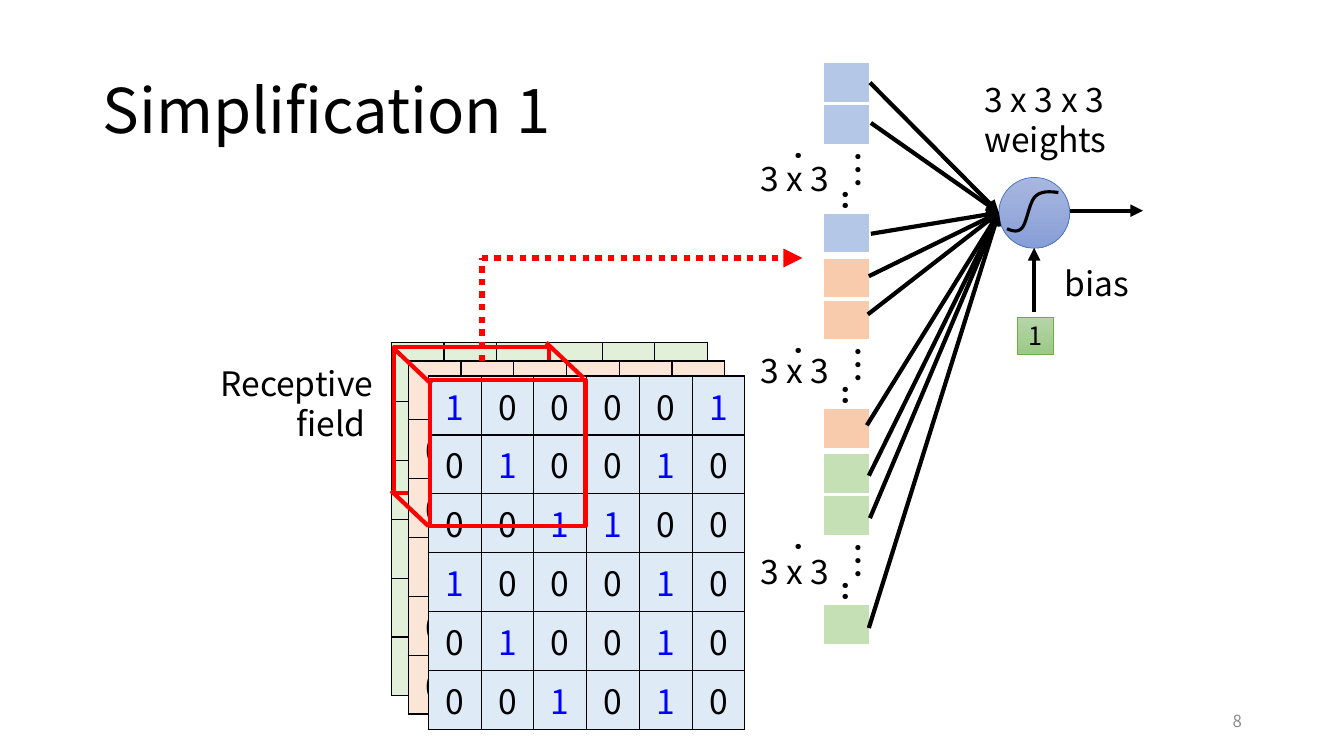
"""Builds a slide on how a receptive field feeds one neuron."""
from dataclasses import dataclass

from lxml import etree
from pptx import Presentation
from pptx.dml.color import RGBColor
from pptx.enum.dml import MSO_LINE
from pptx.enum.shapes import MSO_CONNECTOR, MSO_SHAPE
from pptx.enum.text import MSO_ANCHOR, MSO_AUTO_SIZE, PP_ALIGN
from pptx.oxml.ns import qn
from pptx.util import Pt

LEFT, CENTER, RIGHT = PP_ALIGN.LEFT, PP_ALIGN.CENTER, PP_ALIGN.RIGHT
TOP, MIDDLE = MSO_ANCHOR.TOP, MSO_ANCHOR.MIDDLE
GROW, FIXED = MSO_AUTO_SIZE.SHAPE_TO_FIT_TEXT, MSO_AUTO_SIZE.NONE
RECTANGLE, OVAL = MSO_SHAPE.RECTANGLE, MSO_SHAPE.OVAL
STRAIGHT, DOTTED = MSO_CONNECTOR.STRAIGHT, MSO_LINE.ROUND_DOT


@dataclass(frozen=True)
class Theme:
    font: str = "Noto Sans CJK SC"
    ink: str = "000000"
    paper: str = "FFFFFF"
    one: str = "0000FF"
    accent: str = "FF0000"
    muted: str = "8C8C8C"
    maps: tuple = ("E2F0D9", "FBE5D6", "DEEBF7")
    units: tuple = ("B4C7E7", "F8CBAD", "C5E0B4")
    neuron: tuple = ("A8B7DF", "889ED7")
    neuron_edge: str = "4472C4"
    bias: tuple = ("B5D5A7", "9CC987")
    bias_edge: str = "70AD47"
    title: int = 44
    dots: int = 28
    body: int = 24
    small: int = 18
    number: int = 12


def apply(target, values):
    for name, value in values.items():
        setattr(target, name, value)


def points(*lengths):
    return [Pt(length) for length in lengths]


class Board:
    def __init__(self, slide, theme):
        self.slide, self.theme = slide, theme

    def put_text(self, frame, text, size, color=None, align=LEFT, **layout):
        apply(frame, layout)
        paragraph = frame.paragraphs[0]
        paragraph.alignment = align
        run = paragraph.add_run()
        run.text = text
        apply(run.font, {"name": self.theme.font, "size": Pt(size)})
        run.font.color.rgb = RGBColor.from_string(color or self.theme.ink)
        east_asian = etree.SubElement(run.font._element, qn("a:ea"))
        east_asian.set("typeface", self.theme.font)

    def title(self, text, box):
        heading = self.slide.shapes.title
        apply(heading, dict(zip(("left", "top", "width", "height"), points(*box))))
        self.put_text(heading.text_frame, text, self.theme.title,
                      vertical_anchor=MIDDLE, auto_size=FIXED)
        heading.text_frame.paragraphs[0].line_spacing = 0.9

    def label(self, text, box, size=None, color=None, align=LEFT, rotation=0,
              anchor=TOP, fit=GROW):
        caption = self.slide.shapes.add_textbox(*points(*box))
        caption.rotation = rotation
        self.put_text(caption.text_frame, text, size or self.theme.body, color, align,
                      word_wrap=True, vertical_anchor=anchor, auto_size=fit)

    def stroke(self, line, color, width):
        line.color.rgb = RGBColor.from_string(color)
        line.width = Pt(width)

    def shape(self, kind, box, edge, width, gradient=None):
        figure = self.slide.shapes.add_shape(kind, *points(*box))
        figure.shadow.inherit = False
        self.stroke(figure.line, edge, width)
        if gradient:
            figure.fill.gradient()
            figure.fill.gradient_angle = 270
            for stop, color in zip(figure.fill.gradient_stops, gradient):
                stop.color.rgb = RGBColor.from_string(color)
        else:
            figure.fill.background()
        return figure

    def line(self, start, end, color=None, width=3, arrow=False, dash=None):
        link = self.slide.shapes.add_connector(STRAIGHT, *points(*start, *end))
        self.stroke(link.line, color or self.theme.ink, width)
        if dash:
            link.line.dash_style = dash
        if arrow:
            etree.SubElement(link.line._ln, qn("a:tailEnd")).set("type", "triangle")
        etree.SubElement(link._element.spPr, qn("a:effectLst"))

    def curve(self, start, beziers, width):
        spots, origin = [], start
        for bezier in beziers:
            a, b, c, d = origin, *bezier
            for step in range(1, 13):
                t = step / 12
                u = 1 - t
                spots.append(tuple(
                    Pt(u**3 * p + 3*u*u*t * q + 3*u*t*t * r + t**3 * s)
                    for p, q, r, s in zip(a, b, c, d)))
            origin = d
        builder = self.slide.shapes.build_freeform(*points(*start))
        builder.add_line_segments(spots, close=False)
        outline = builder.convert_to_shape()
        outline.shadow.inherit = False
        outline.fill.background()
        self.stroke(outline.line, self.theme.ink, width)

    def border(self, cell, color, widths):
        props = cell._tc.get_or_add_tcPr()
        for side, width in zip("LRTB", widths):
            edge = etree.SubElement(props, qn(f"a:ln{side}"), w=str(Pt(width)))
            fill = etree.SubElement(edge, qn("a:solidFill"))
            etree.SubElement(fill, qn("a:srgbClr"), val=color)

    def grid(self, rows, place, cell_size, fill, edge, first_bottom=1):
        wide, high = cell_size
        columns = len(rows[0])
        table = self.slide.shapes.add_table(
            len(rows), columns, *points(*place, wide * columns, high * len(rows))).table
        apply(table, {"first_row": False, "horz_banding": False})
        for r, row in enumerate(rows):
            table.rows[r].height = Pt(high)
            for c, digit in enumerate(row):
                cell = table.cell(r, c)
                self.border(cell, edge, (1, 1, 1, 1 if r else first_bottom))
                cell.fill.solid()
                cell.fill.fore_color.rgb = RGBColor.from_string(fill)
                if digit.strip():
                    color = self.theme.one if digit == "1" else self.theme.ink
                    self.put_text(cell.text_frame, digit, self.theme.body, color, CENTER)


deck = Presentation()
apply(deck, {"slide_width": Pt(960), "slide_height": Pt(540)})
theme = Theme()
board = Board(deck.slides.add_slide(deck.slide_layouts[5]), theme)
board.title("Simplification 1", (66, 28.8, 828, 104.4))

bits = ("100001", "010010", "001100", "100010", "010010", "001010")
map_places = ((279.4, 244.8), (291.6, 257.8), (306, 268.6))
field_places = {0: (281.5, 247.7), 2: (307.4, 271.4)}
for layer, (place, tint) in enumerate(zip(map_places, theme.maps)):
    board.grid(bits, place, (37.68, 29.5), tint, theme.ink)
    if layer in field_places:
        board.shape(RECTANGLE, (*field_places[layer], 110.9, 104.4), theme.accent, 3)
for x, y in ((279.4, 350.6), (390.2, 244.8), (281.5, 249.1)):
    board.line((x, y), (x + 26.6, y + 25.2), theme.accent)
board.label("Receptive field ", (136, 255.6, 137.5, 65.5), align=RIGHT)

unit_size, stack_left, stack_pitch = (33, 29.3), 588.2, 139.7
for channel, (tint, label_top) in enumerate(zip(theme.units, (109.4, 246.2, 390.2))):
    top = 44.6 + channel * stack_pitch
    board.grid((" ", " "), (stack_left, top), unit_size, tint, theme.paper, 3)
    board.grid((" ",), (stack_left, top + 107.7), unit_size, tint, theme.paper, 3)
    board.label("…...", (584, top + 64.6, 59, 41), theme.dots, rotation=90)
    board.label("3 x 3", (533.5, label_top, 66.2, 36), align=RIGHT)

board.shape(OVAL, (713.5, 126.7, 50.6, 50.6), theme.neuron_edge, 0.5, theme.neuron)
board.curve((756, 137.5), (
    ((750.2, 136.8), (743.8, 136.1), (739.4, 140.4)),
    ((735.1, 144.7), (733.7, 158.4), (730.1, 162.7)),
    ((727.2, 166.3), (722.9, 164.9), (719.3, 163.4))), 2.25)
board.line((764.6, 150.5), (816.5, 150.5), arrow=True)

corner = (344.2, 184.3)
board.line((344.2, 257.8), corner, theme.accent, 4.5, dash=DOTTED)
board.line(corner, (573.1, 184.3), theme.accent, 4.5, arrow=True, dash=DOTTED)

weight_starts = (
    (621.4, 59), (622.1, 87.8), (622.1, 167),
    (620.6, 197.3), (619.9, 224.6), (619.2, 303.8),
    (620.6, 339.8), (621.4, 370.1), (620.6, 448.6))
for start in weight_starts:
    board.line(start, (713.5, 151.9), arrow=True)
board.label("3 x 3 x 3 weights", (696.2, 52.6, 126, 65.5))

board.line((738.7, 223.2), (738.7, 177.1), arrow=True)
bias_input = board.shape(RECTANGLE, (726.5, 226.8, 26, 26), theme.bias_edge, 0.5, theme.bias)
board.put_text(bias_input.text_frame, "1", theme.small, align=CENTER, vertical_anchor=MIDDLE)
board.label("bias", (753.1, 184.3, 94.3, 36))
board.label("8", (678.2, 500.4, 216, 28.8), theme.number, theme.muted, RIGHT,
            anchor=MIDDLE, fit=FIXED)

deck.save("out.pptx")
